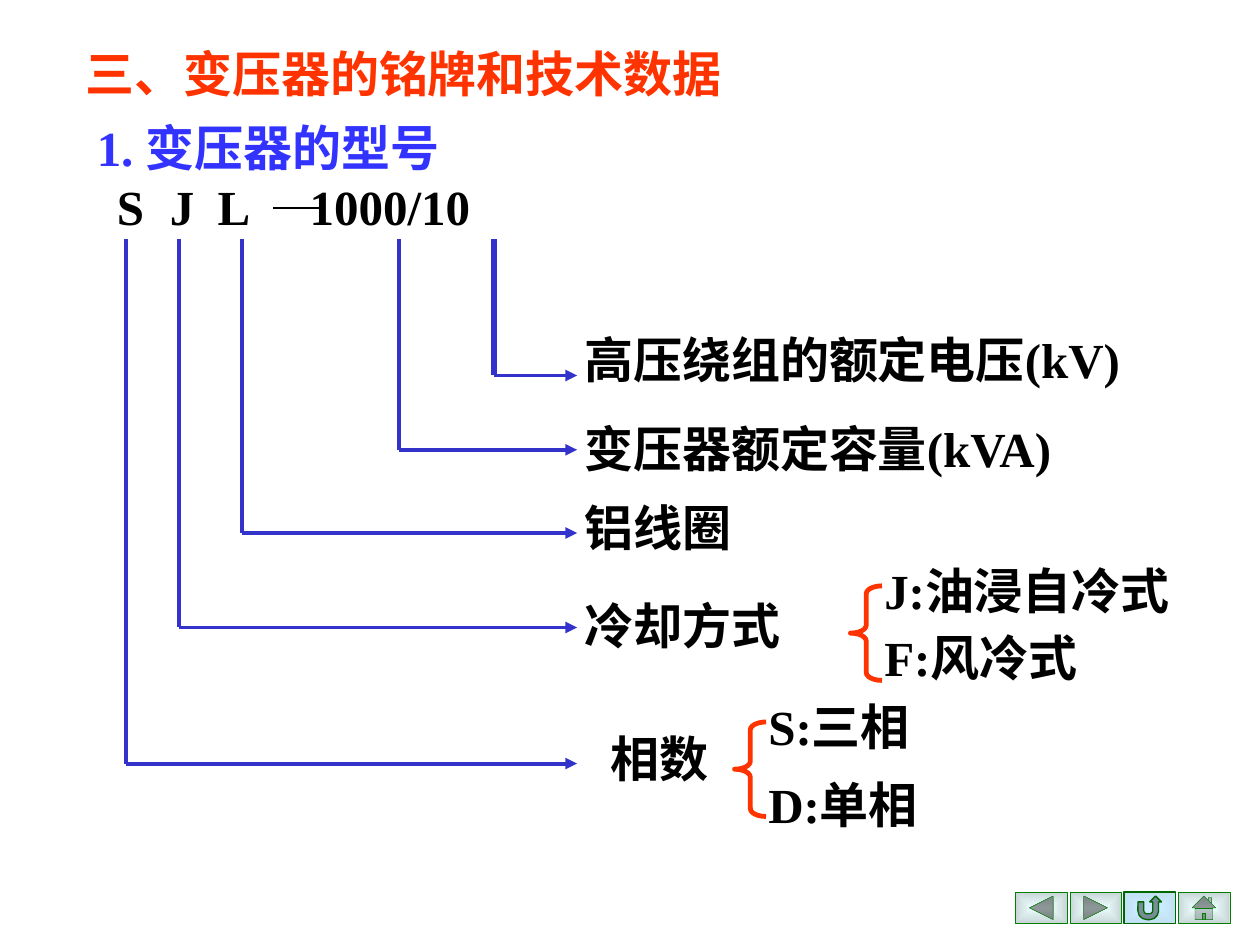
from pptx import Presentation
from pptx.dml.color import RGBColor
from pptx.enum.shapes import MSO_CONNECTOR, MSO_SHAPE
from pptx.enum.text import MSO_ANCHOR
from pptx.oxml.ns import qn
from pptx.util import Inches, Pt
from lxml.etree import SubElement

LATIN, HAN = "Times New Roman", "Noto Sans CJK SC"
BLUE, RED, BLACK = "3333CC", "FF3300", "000000"
TOP, TIP = 1.9, 4.58      # where leaders start, where arrows end
ROW = 0.57                # height of a line of text

# Leaders: x of the code letter, y of the arrow, width of the drop
LEADS = [(3.92, 2.98, 3), (3.17, 3.57, 2.25), (1.92, 4.23, 2.25),
         (1.42, 4.98, 2.25), (1, 6.06, 2.25)]
# Meanings: text, left, top, width
NOTES = [("高压绕组的额定电压(kV)", 4.54, 2.57, 5.2),
         ("变压器额定容量(kVA)", 4.54, 3.27, 5.2),
         ("铝线圈", 4.54, 3.9, 2.2),
         ("冷却方式", 4.54, 4.68, 2.2),
         ("相数", 4.75, 5.73, 1.42),
         ("J:油浸自冷式", 6.92, 4.4, 3),
         ("F:风冷式", 6.92, 4.93, 3),
         ("S:三相", 6, 5.48, 1.83),
         ("D:单相", 6, 6.1, 2.5)]
BRACES = [(6.75, 4.65), (5.83, 5.73)]
PALE = ("ECFDFE", "C7D5D6", "008000", 0.25)
KEYS = [(MSO_SHAPE.ACTION_BUTTON_BACK_OR_PREVIOUS, PALE),
        (MSO_SHAPE.ACTION_BUTTON_FORWARD_OR_NEXT, PALE),
        (MSO_SHAPE.ACTION_BUTTON_RETURN, ("CCECFF", "C1E0F2", "006600", 0.75)),
        (MSO_SHAPE.ACTION_BUTTON_HOME, PALE)]

deck = Presentation()
deck.slide_width, deck.slide_height = Inches(10), Inches(7.5)
slide = deck.slides.add_slide(deck.slide_layouts[6])
shapes = slide.shapes


def rgb(code):
    return RGBColor.from_string(code)


def inch(*sizes):
    return [Inches(size) for size in sizes]


def write(text, x, y, w, h=ROW, color=BLACK, font=LATIN,
          anchor=MSO_ANCHOR.TOP, tabs=()):
    box = shapes.add_textbox(*inch(x, y, w, h))
    frame = box.text_frame
    frame.word_wrap = True
    frame.vertical_anchor = anchor
    para = frame.paragraphs[0]
    if tabs:
        stops = SubElement(para._p.get_or_add_pPr(), qn("a:tabLst"))
        for pos in tabs:
            SubElement(stops, qn("a:tab"), pos=str(Inches(pos)), algn="l")
    run = para.add_run()
    run.text = text
    run.font.size, run.font.bold = Pt(28), True
    run.font.name = font
    run.font.color.rgb = rgb(color)
    SubElement(run._r.get_or_add_rPr(), qn("a:ea"), typeface=HAN)


def draw(x1, y1, x2, y2, color=BLUE, width=2.25, arrow=False):
    line = shapes.add_connector(MSO_CONNECTOR.STRAIGHT, *inch(x1, y1, x2, y2))
    line.line.color.rgb = rgb(color)
    line.line.width = Pt(width)
    if arrow:
        SubElement(line.line._get_or_add_ln(), qn("a:tailEnd"), type="triangle")
    SubElement(line.element.spPr, qn("a:effectLst"))


def brace(x, y):
    mark = shapes.add_shape(MSO_SHAPE.LEFT_BRACE, *inch(x, y, 0.25, 0.75))
    mark.shadow.inherit = False
    mark.adjustments[0] = 0.25
    mark.fill.background()
    mark.line.color.rgb = rgb(RED)
    mark.line.width = Pt(2.75)


def button(kind, x, inner, outer, edge, width):
    key = shapes.add_shape(kind, *inch(x, 7.08, 0.41, 0.25))
    key.shadow.inherit = False
    key.fill.gradient()
    for stop, code in zip(key.fill.gradient_stops, (inner, outer)):
        stop.color.rgb = rgb(code)
    # Turn the linear gradient into one from the centre
    grad = key.element.spPr.find(qn("a:gradFill"))
    grad.remove(grad.find(qn("a:lin")))
    shade = SubElement(grad, qn("a:path"), path="rect")
    SubElement(shade, qn("a:fillToRect"), l="50000", t="50000",
               r="50000", b="50000")
    key.line.color.rgb = rgb(edge)
    key.line.width = Pt(width)


# Navigation buttons
for col, (kind, style) in enumerate(KEYS):
    button(kind, 8.06 + 0.43 * col, *style)

# Headings
write("1. 变压器的型号", 0.67, 0.83, 4.33, 0.67, color="3333FF",
      anchor=MSO_ANCHOR.MIDDLE)
write("三、变压器的铭牌和技术数据", 0.58, 0.08, 6.58, 1, color=RED, font=HAN,
      anchor=MSO_ANCHOR.MIDDLE)

# Model code with its dash
write("S\tJ\tL\t1000/10", 0.83, 1.35, 4.67, tabs=(0.42, 0.8, 1.53))
draw(2.17, 1.65, 2.58, 1.65, color=BLACK, width=1)

# Leaders from each part of the code to its meaning
for x, y, width in LEADS:
    draw(x, y, TIP, y, arrow=True)
    draw(x, TOP, x, y, width=width)

# Meanings and their options
for note in NOTES:
    write(*note)
for spot in BRACES:
    brace(*spot)

deck.save("out.pptx")
